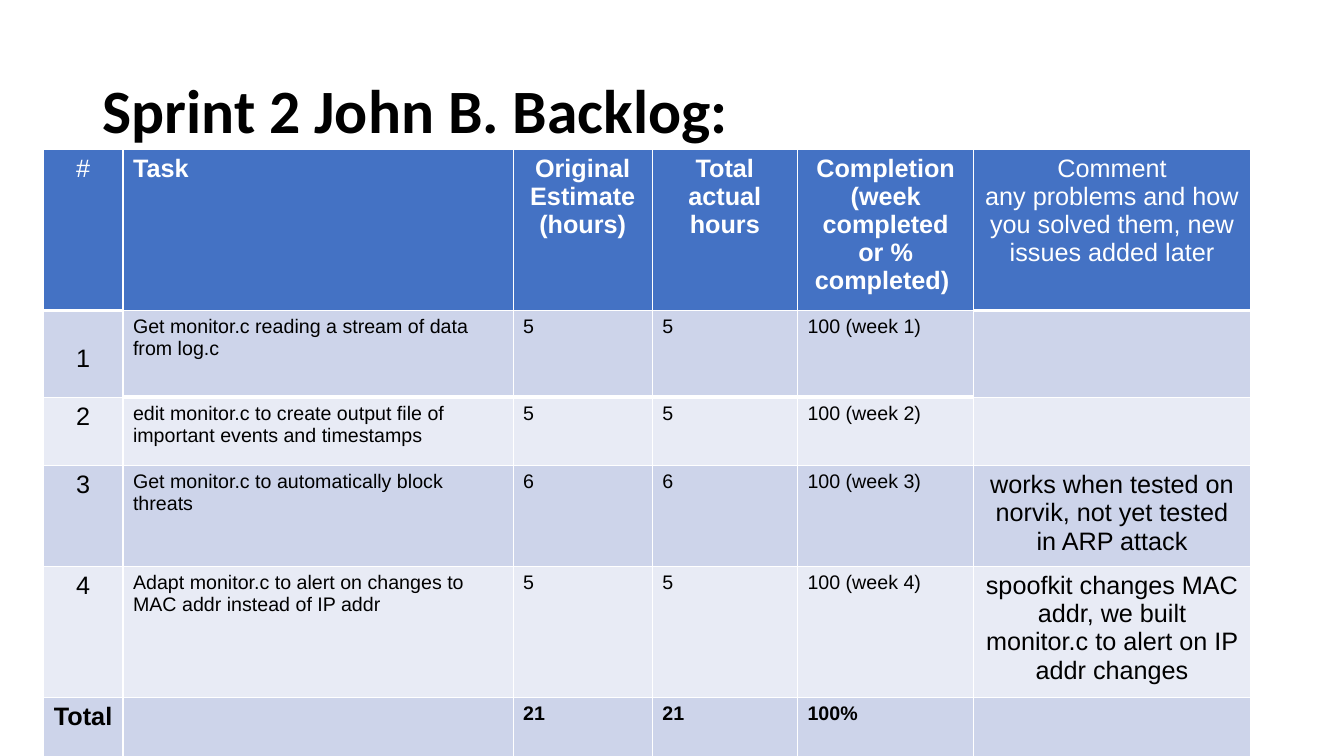
from lxml import etree
from pptx import Presentation
from pptx.dml.color import RGBColor
from pptx.enum.text import MSO_ANCHOR, PP_ALIGN
from pptx.oxml.ns import qn
from pptx.util import Inches, Pt

LEFT, CENTER = PP_ALIGN.LEFT, PP_ALIGN.CENTER
MIDDLE = MSO_ANCHOR.MIDDLE
BLACK = RGBColor(0x00, 0x00, 0x00)
WHITE = RGBColor(0xFF, 0xFF, 0xFF)
HEADER_BLUE = RGBColor(0x44, 0x72, 0xC4)
BAND_DARK = RGBColor(0xCD, 0xD4, 0xEA)
BAND_LIGHT = RGBColor(0xE8, 0xEB, 0xF5)

COLUMN_WIDTHS = [0.79, 3.87, 1.38, 1.44, 1.75, 2.74]
ROW_HEIGHTS = [1.4, 0.86, 0.68, 0.72, 0.86, 0.71]
BACKLOG = [
    ["#", "Task", "Original Estimate (hours)", "Total\nactual hours",
     "Completion\n(week completed or % completed) ",
     "Comment\nany problems and how you solved them, new issues added later"],
    ["1", "Get monitor.c reading a stream of data from log.c",
     "5", "5", "100 (week 1)", ""],
    ["2", "edit monitor.c to create output file of important events and timestamps",
     "5", "5", "100 (week 2)", ""],
    ["3", "Get monitor.c to automatically block threats",
     "6", "6", "100 (week 3)",
     "works when tested on norvik, not yet tested in ARP attack"],
    ["4", "Adapt monitor.c to alert on changes to MAC addr instead of IP addr",
     "5", "5", "100 (week 4)",
     "spoofkit changes MAC addr, we built monitor.c to alert on IP addr changes"],
    ["Total", "", "21", "21", "100%", ""],
]
TOTAL_ROW = len(BACKLOG) - 1
OUTER_COLUMNS = (0, len(COLUMN_WIDTHS) - 1)


def write_text(frame, text, font="Arial", size=18, color=BLACK, bold=False,
               align=LEFT, line_spacing=None):
    for index, line in enumerate(text.split("\n")):
        para = frame.add_paragraph() if index else frame.paragraphs[0]
        para.alignment = align
        para.line_spacing = line_spacing
        para.font.size = Pt(size)
        if line:
            span = para.add_run()
            span.text = line
            span.font.name = font
            span.font.size = Pt(size)
            span.font.bold = bold
            span.font.color.rgb = color


def set_borders(cell, top, bottom):
    properties = cell._tc.get_or_add_tcPr()
    widths = {"a:lnL": 1, "a:lnR": 1, "a:lnT": top, "a:lnB": bottom}
    for position, (tag, width) in enumerate(widths.items()):
        line = etree.Element(qn(tag), w=str(Pt(width)))
        fill = etree.SubElement(line, qn("a:solidFill"))
        etree.SubElement(fill, qn("a:srgbClr"), val=str(WHITE))
        properties.insert(position, line)


deck = Presentation()
deck.slide_width = Inches(13.33)
deck.slide_height = Inches(7.5)
page = deck.slides.add_slide(deck.slide_layouts[6])

title_box = page.shapes.add_textbox(Inches(0.92), Inches(0.4), Inches(11.5), Inches(1.45))
title_box.text_frame.word_wrap = True
title_box.text_frame.vertical_anchor = MIDDLE
write_text(title_box.text_frame, "Sprint 2 John B. Backlog:", font="Calibri",
           size=44, bold=True, line_spacing=0.9)

table = page.shapes.add_table(
    len(ROW_HEIGHTS), len(COLUMN_WIDTHS), Inches(0.43), Inches(1.48),
    Inches(sum(COLUMN_WIDTHS)), Inches(sum(ROW_HEIGHTS))).table
for column, width in zip(table.columns, COLUMN_WIDTHS):
    column.width = Inches(width)
for row, height in zip(table.rows, ROW_HEIGHTS):
    row.height = Inches(height)

for row_index, texts in enumerate(BACKLOG):
    is_header = row_index == 0
    band = BAND_DARK if row_index % 2 else BAND_LIGHT
    for column_index, text in enumerate(texts):
        is_outer = column_index in OUTER_COLUMNS
        centered = is_outer or (is_header and column_index != 1)
        bold = (is_header and not is_outer) or row_index == TOTAL_ROW
        thick_after = 0 if is_outer else 1

        cell = table.cell(row_index, column_index)
        cell.fill.solid()
        cell.fill.fore_color.rgb = HEADER_BLUE if is_header else band
        set_borders(cell, top=3 if row_index == thick_after + 1 else 1,
                    bottom=3 if row_index == thick_after else 1)
        write_text(cell.text_frame, text,
                   size=18 if is_header or is_outer else 14,
                   color=WHITE if is_header else BLACK, bold=bold,
                   align=CENTER if centered else LEFT)

table.cell(1, 0).margin_top = Inches(0.34)

deck.save("out.pptx")
